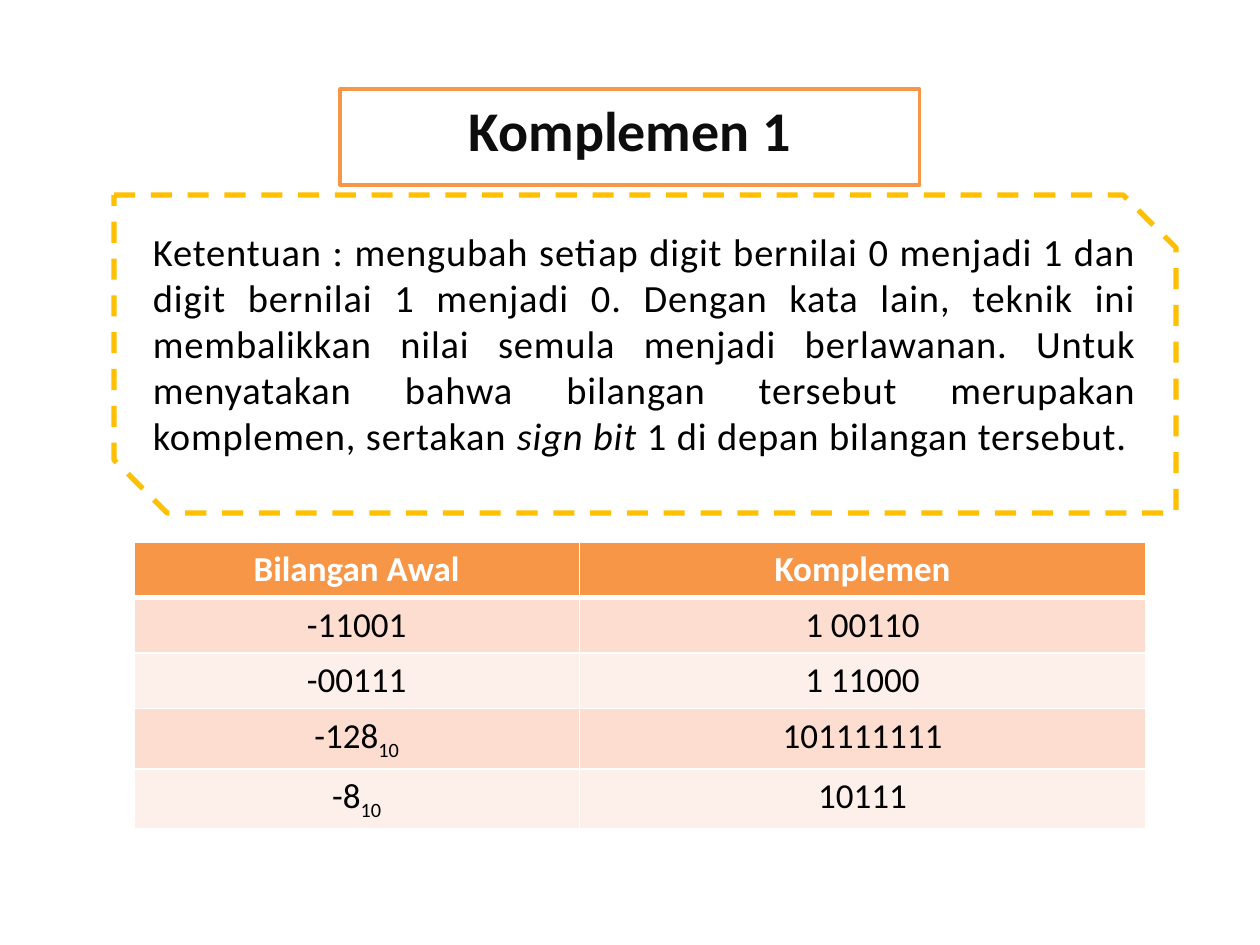
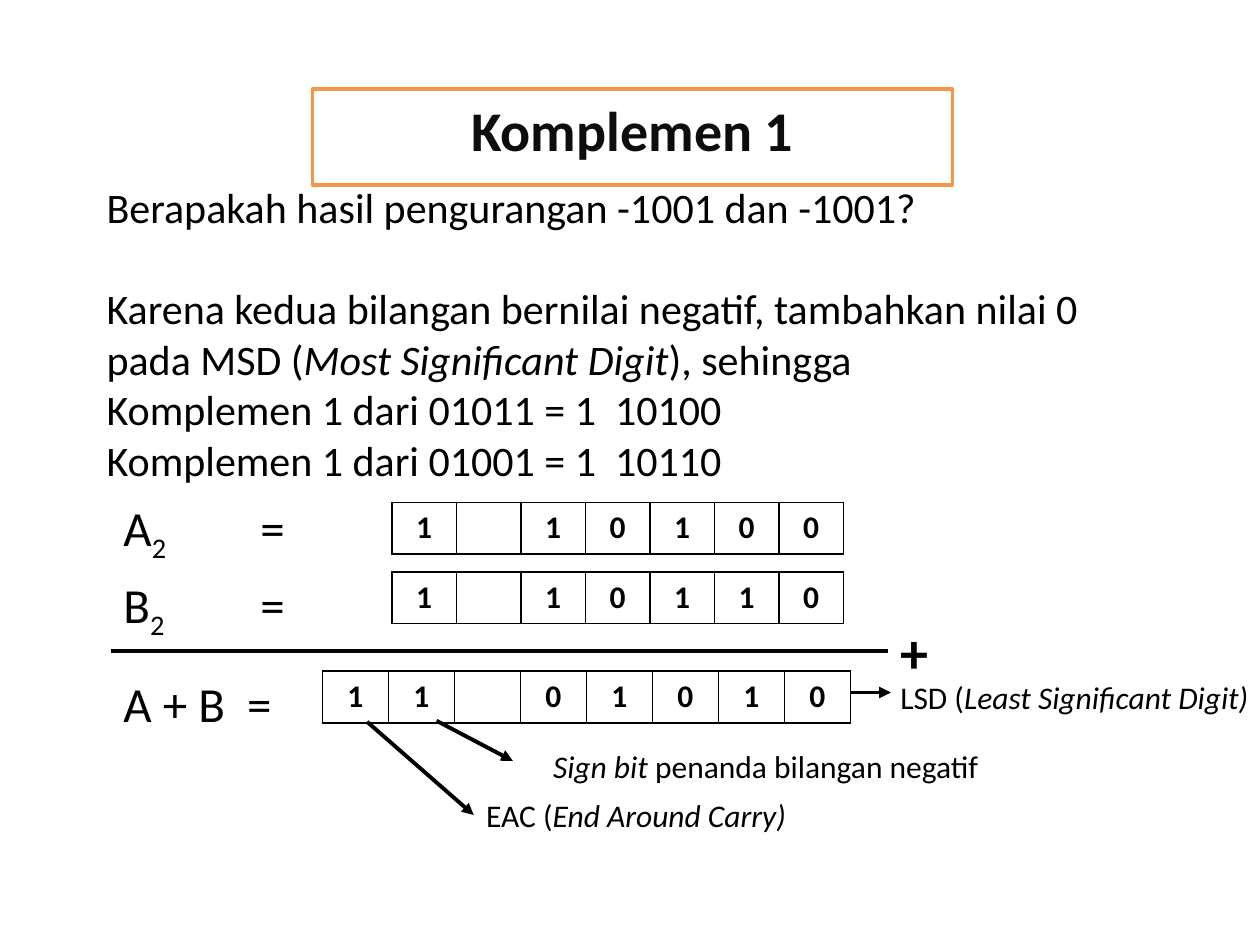
from lxml import etree
from pptx import Presentation
from pptx.dml.color import RGBColor
from pptx.enum import dml, shapes, text
from pptx.oxml import ns
from pptx.util import Cm, Pt

FONT = "Calibri"
BLACK, WHITE, INK = "000000", "FFFFFF", "0D0D0D"
ORANGE, GOLD = "F79646", "FFC000"
BANDS = ("FCDDCF", "FDEFE9")
ITALIC, SUB = "italic", "subscript"

TITLE = "Komplemen 1"
# A paragraph is a list of pieces: plain strings or (string, style) pairs.
RULE = [
    "Ketentuan : mengubah setiap digit bernilai 0 menjadi 1 dan digit bernilai 1 "
    "menjadi 0. Dengan kata lain, teknik ini membalikkan nilai semula menjadi "
    "berlawanan. Untuk menyatakan bahwa bilangan tersebut merupakan komplemen, "
    "sertakan ", ("sign bit", ITALIC), " 1 di depan bilangan tersebut. "]
COMPLEMENTS = [
    (["Bilangan Awal"], ["Komplemen"]),
    (["-11001"], ["1 00110"]),
    (["-00111"], ["1 11000"]),
    (["-128", ("10", SUB)], ["101111111"]),
    (["-8", ("10", SUB)], ["10111"]),
]
QUESTION = [
    ["Berapakah hasil pengurangan -1001 dan -1001?"],
    ["Karena kedua bilangan bernilai negatif, tambahkan nilai 0 pada MSD (",
     ("Most Significant Digit", ITALIC), "), sehingga"],
    ["Komplemen 1 dari 01011 = 1  10100"],
    ["Komplemen 1 dari 01001 = 1  10110"],
]
SUM_LABELS = [
    ["A", ("2", SUB), "\t ="],
    ["B", ("2", SUB), "\t ="],
    ["A + B  ="],
]
# digits (a space is an empty cell), left, top, cell width
OPERANDS = [("1 10100", 7.9, 10.13, 1.3), ("1 10110", 7.9, 11.53, 1.3)]
RESULT = ("11 01010", 6.5, 13.53, 1.33)
# pieces, left, top, width
CAPTIONS = [
    (["LSD (", ("Least Significant Digit)", ITALIC)], 17.9, 13.54, 7.7),
    ([("Sign bit ", ITALIC), "penanda bilangan negatif"], 10.9, 14.93, 11.53),
    (["EAC (", ("End Around Carry)", ITALIC)], 9.55, 15.93, 11.53),
]
LSD_ARROW = (16.1, 13.96, 17.96, 13.96)
CARRY_ARROWS = [(8.8, 14.53, 10.34, 15.34), (7.4, 14.55, 9.55, 16.43)]
SUM_RULE = (2.24, 13.13, 17.9, 13.13)


def rgb(color):
    return RGBColor.from_string(color)


def write(paragraph, pieces, size, color=BLACK, bold=False, align=None):
    for piece in pieces:
        words, style = (piece, None) if isinstance(piece, str) else piece
        run = paragraph.add_run()
        run.text = words
        font = run.font
        font.name, font.size, font.bold = FONT, Pt(size), bold
        font.italic = style == ITALIC
        font.color.rgb = rgb(color)
        if style == SUB:
            run._r.get_or_add_rPr().set("baseline", "-25000")
    if align is not None:
        paragraph.alignment = align


def add_text(slide, paragraphs, left, top, width, height, size, bold=False):
    """Add a text box and return its paragraphs."""
    box = slide.shapes.add_textbox(Cm(left), Cm(top), Cm(width), Cm(height))
    frame = box.text_frame
    frame.word_wrap = True
    for i, pieces in enumerate(paragraphs):
        paragraph = frame.add_paragraph() if i else frame.paragraphs[0]
        write(paragraph, pieces, size, bold=bold)
    return frame.paragraphs


def add_frame(slide, preset, left, top, width, height, line, weight):
    """Add an outlined, unfilled shape with its text at the top."""
    shape = slide.shapes.add_shape(preset, Cm(left), Cm(top), Cm(width), Cm(height))
    shape.shadow.inherit = False
    shape.fill.background()
    shape.line.color.rgb = rgb(line)
    shape.line.width = Pt(weight)
    shape.text_frame.word_wrap = True
    shape.text_frame.vertical_anchor = text.MSO_ANCHOR.TOP
    return shape


def add_title(slide, left, width):
    title = add_frame(slide, shapes.MSO_SHAPE.RECTANGLE, left, 1.8, width, 1.93, ORANGE, 2)
    title.fill.solid()
    title.fill.fore_color.rgb = rgb(WHITE)
    write(title.text_frame.paragraphs[0], [TITLE], 32, INK, True, text.PP_ALIGN.CENTER)


def add_line(slide, x1, y1, x2, y2, arrow=True):
    line = slide.shapes.add_connector(
        shapes.MSO_CONNECTOR.STRAIGHT, Cm(x1), Cm(y1), Cm(x2), Cm(y2))
    line.line.color.rgb = rgb(BLACK)
    line.line.width = Pt(2.25)
    if arrow:
        etree.SubElement(line.line._get_or_add_ln(), ns.qn("a:tailEnd"), type="triangle")
    etree.SubElement(line._element.spPr, ns.qn("a:effectLst"))


def style_cell(cell, fill, border, bottom=1, top=1):
    properties = cell._tc.get_or_add_tcPr()
    for side, weight in (("L", 1), ("R", 1), ("T", top), ("B", bottom)):
        edge = etree.SubElement(properties, ns.qn(f"a:ln{side}"), w=str(Pt(weight)))
        solid = etree.SubElement(edge, ns.qn("a:solidFill"))
        etree.SubElement(solid, ns.qn("a:srgbClr"), val=border)
    cell.fill.solid()
    cell.fill.fore_color.rgb = rgb(fill)


def add_grid(slide, rows, left, top, widths):
    """Add a table without style options; row heights are equal."""
    height = 1.04
    grid = slide.shapes.add_table(
        rows, len(widths), Cm(left), Cm(top), Cm(sum(widths)), Cm(height * rows)).table
    grid.first_row = grid.horz_banding = False
    for column, width in zip(grid.columns, widths):
        column.width = Cm(width)
    return grid


def add_digits(slide, digits, left, top, width):
    grid = add_grid(slide, 1, left, top, [width] * len(digits))
    for cell, digit in zip(grid.iter_cells(), digits):
        style_cell(cell, WHITE, BLACK)
        if digit != " ":
            write(cell.text_frame.paragraphs[0], [digit], 18, bold=True,
                  align=text.PP_ALIGN.CENTER)


def build_rule_slide(slide):
    add_title(slide, 6.86, 11.68)
    rule = add_frame(slide, shapes.MSO_SHAPE.SNIP_2_DIAG_RECTANGLE,
                     2.3, 3.93, 21.41, 6.41, GOLD, 3)
    rule.line.dash_style = dml.MSO_LINE.DASH
    paragraph = rule.text_frame.paragraphs[0]
    write(paragraph, RULE, 22, align=text.PP_ALIGN.JUSTIFY)
    for run in paragraph.runs:
        run._r.get_or_add_rPr().set("spc", "50")

    grid = add_grid(slide, len(COMPLEMENTS), 2.7, 10.93, [8.98, 11.42])
    for r, row in enumerate(COMPLEMENTS):
        header = r == 0
        for c, pieces in enumerate(row):
            cell = grid.cell(r, c)
            style_cell(cell, ORANGE if header else BANDS[(r - 1) % 2], WHITE,
                       bottom=3 if header else 1, top=3 if r == 1 else 1)
            write(cell.text_frame.paragraphs[0], pieces, 20, WHITE if header else BLACK,
                  header, text.PP_ALIGN.CENTER)


def build_sum_slide(slide):
    labels = add_text(slide, SUM_LABELS, 2.24, 9.9, 22.45, 5.2, 28)
    for label, gap in zip(labels, (0, 5.6, 18.5)):
        label.space_before = Pt(gap)
        tabs = etree.SubElement(label._p.get_or_add_pPr(), ns.qn("a:tabLst"))
        etree.SubElement(tabs, ns.qn("a:tab"), pos=str(Cm(2.54)), algn="l")

    add_line(slide, *LSD_ARROW)
    for digits in (*OPERANDS, RESULT):
        add_digits(slide, *digits)
    add_line(slide, *SUM_RULE, arrow=False)
    add_text(slide, [["+"]], 17.9, 12.32, 1.4, 1.62, 32, bold=True)

    question = add_text(slide, QUESTION, 1.9, 3.53, 20.85, 6.4, 24)
    question[1].space_before = Pt(29.3)

    for arrow in CARRY_ARROWS:
        add_line(slide, *arrow)
    for pieces, left, top, width in CAPTIONS:
        add_text(slide, [pieces], left, top, width, 1.02, 18)
    add_title(slide, 6.3, 12.9)


def main():
    deck = Presentation()
    deck.slide_width, deck.slide_height = Cm(25.4), Cm(19.05)
    for build in (build_rule_slide, build_sum_slide):
        build(deck.slides.add_slide(deck.slide_layouts[6]))
    deck.save("out.pptx")


if __name__ == "__main__":
    main()
